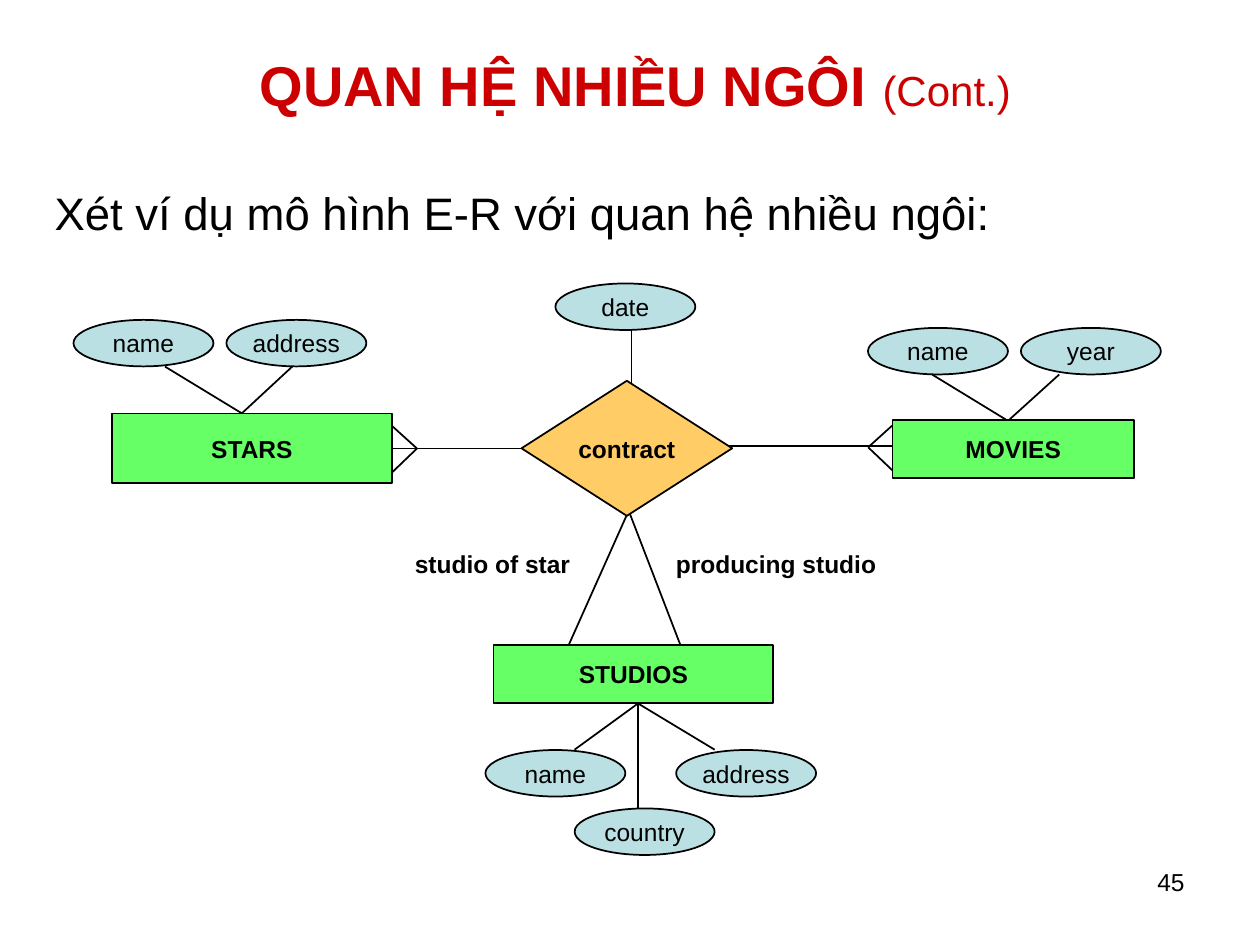
from typing import NamedTuple

from lxml import etree
from pptx import Presentation
from pptx.dml.color import RGBColor
from pptx.enum import shapes as kinds, text as txt
from pptx.oxml.ns import qn
from pptx.util import Pt

FONT = "Arial"
BLACK = "000000"
RED = "CC0000"
GREEN = "66FF66"
BLUE = "BBE0E3"
GOLD = "FFCC66"
OVAL = (80, 26.6)


class Node(NamedTuple):
    label: str
    x: float
    y: float
    w: float
    h: float
    form: kinds.MSO_SHAPE
    fill: str
    bold: bool = True


class Label(NamedTuple):
    label: str
    x: float
    y: float
    w: float
    h: float
    align: txt.PP_ALIGN = txt.PP_ALIGN.CENTER
    anchor: txt.MSO_ANCHOR = txt.MSO_ANCHOR.MIDDLE
    bold: bool = True
    wrap: bool = False


class Fan(NamedTuple):
    hub: tuple[float, float]
    ends: list[tuple[float, float]]


def entity(label: str, x: float, y: float, w: float, h: float) -> Node:
    return Node(label, x, y, w, h, kinds.MSO_SHAPE.RECTANGLE, GREEN)


def trait(label: str, x: float, y: float) -> Node:
    return Node(label, x, y, *OVAL, kinds.MSO_SHAPE.OVAL, BLUE, False)


NODES = [
    entity("STARS", 64, 236.2, 160, 40),
    entity("MOVIES", 510, 240, 138, 33),
    entity("STUDIOS", 282, 368.6, 160, 33),
    Node("contract", 298, 217.6, 120.4, 77.2, kinds.MSO_SHAPE.DIAMOND, GOLD),
    trait("name", 42, 182.8),
    trait("address", 129.4, 182.8),
    trait("date", 317.4, 162),
    trait("name", 496, 187.4),
    trait("year", 583.4, 187.4),
    trait("name", 277.4, 428.6),
    trait("address", 386.4, 428.6),
    trait("country", 328.4, 462),
]

FANS = [
    Fan((138.2, 236.2), [(94.3, 209.5), (167, 209.5)]),
    Fan((576, 240.5), [(532.6, 214), (605.3, 214)]),
    Fan((364.6, 402), [(328.3, 428.4), (364.6, 462), (408.4, 428.4)]),
    Fan((360.8, 179.3), [(360.8, 219.6)]),
    Fan((360, 290.2), [(318.2, 383.8)]),
    Fan((360, 293.8), [(390.2, 372.2)]),
    Fan((224, 256.3), [(347.8, 256.3)]),
    Fan((238.3, 256.3), [(224, 243.4), (224, 270)]),
    Fan((391.7, 254.9), [(515.5, 254.9)]),
    Fan((496.1, 255.6), [(510.5, 242.6), (510.5, 269.3)]),
]

LABELS = [
    Label("studio of star", 198, 312, 167, 20),
    Label("producing studio", 360, 312, 167, 20),
    Label("45", 516, 492, 168, 37.4, txt.PP_ALIGN.RIGHT,
          txt.MSO_ANCHOR.TOP, False, True),
]


def tint(code: str) -> RGBColor:
    return RGBColor.from_string(code)


def style(font, size: float, color: str, bold: bool = False) -> None:
    font.name = FONT
    font.size = Pt(size)
    font.bold = bold
    font.color.rgb = tint(color)


def place(shape, x: float, y: float, w: float, h: float) -> None:
    shape.left, shape.top = Pt(x), Pt(y)
    shape.width, shape.height = Pt(w), Pt(h)


def write(shape, label: str, bold: bool, align=txt.PP_ALIGN.CENTER,
          anchor=txt.MSO_ANCHOR.MIDDLE, wrap: bool = False) -> None:
    frame = shape.text_frame
    frame.word_wrap = wrap
    frame.vertical_anchor = anchor
    par = frame.paragraphs[0]
    par.text = label
    par.alignment = align
    style(par.font, 14, BLACK, bold)


def draw_fan(slide, fan: Fan) -> None:
    for end in fan.ends:
        line = slide.shapes.add_connector(
            kinds.MSO_CONNECTOR.STRAIGHT, *map(Pt, fan.hub + end))
        line.line.color.rgb = tint(BLACK)
        line.line.width = Pt(1)
        etree.SubElement(line._element.spPr, qn("a:effectLst"))


def draw_node(slide, node: Node) -> None:
    shape = slide.shapes.add_shape(
        node.form, *map(Pt, (node.x, node.y, node.w, node.h)))
    shape.shadow.inherit = False
    shape.fill.solid()
    shape.fill.fore_color.rgb = tint(node.fill)
    shape.line.color.rgb = tint(BLACK)
    shape.line.width = Pt(1)
    write(shape, node.label, node.bold)


def draw_label(slide, item: Label) -> None:
    box = slide.shapes.add_textbox(
        *map(Pt, (item.x, item.y, item.w, item.h)))
    write(box, item.label, item.bold, item.align, item.anchor, item.wrap)


def fill_title(slide) -> None:
    title = slide.shapes.title
    place(title, 12, 6, 702, 78)
    title.text_frame.auto_size = txt.MSO_AUTO_SIZE.NONE
    title.text_frame.vertical_anchor = txt.MSO_ANCHOR.MIDDLE
    par = title.text_frame.paragraphs[0]
    par.alignment = txt.PP_ALIGN.CENTER
    par.line_spacing = 1.15
    for words, size, bold in [("QUAN HỆ NHIỀU NGÔI ", 32, True),
                              ("(Cont.)", 24, False)]:
        run = par.add_run()
        run.text = words
        style(run.font, size, RED, bold)


def fill_body(slide) -> None:
    body = slide.placeholders[1]
    place(body, 24, 102, 654, 42)
    body.text_frame.auto_size = txt.MSO_AUTO_SIZE.NONE
    par = body.text_frame.paragraphs[0]
    par.text = "Xét ví dụ mô hình E-R với quan hệ nhiều ngôi:"
    par.space_before, par.space_after = Pt(9.8), Pt(3.3)
    style(par.font, 26, BLACK)
    props = par._p.get_or_add_pPr()
    props.set("marL", str(Pt(48)))
    props.set("indent", str(Pt(-48)))
    mark = etree.Element(qn("a:buNone"))
    props.find(qn("a:defRPr")).addprevious(mark)


def main() -> None:
    deck = Presentation()
    deck.slide_width, deck.slide_height = Pt(720), Pt(540)
    slide = deck.slides.add_slide(deck.slide_layouts[1])
    fill_title(slide)
    fill_body(slide)
    for fan in FANS:
        draw_fan(slide, fan)
    for node in NODES:
        draw_node(slide, node)
    for item in LABELS:
        draw_label(slide, item)
    deck.save("out.pptx")


if __name__ == "__main__":
    main()
